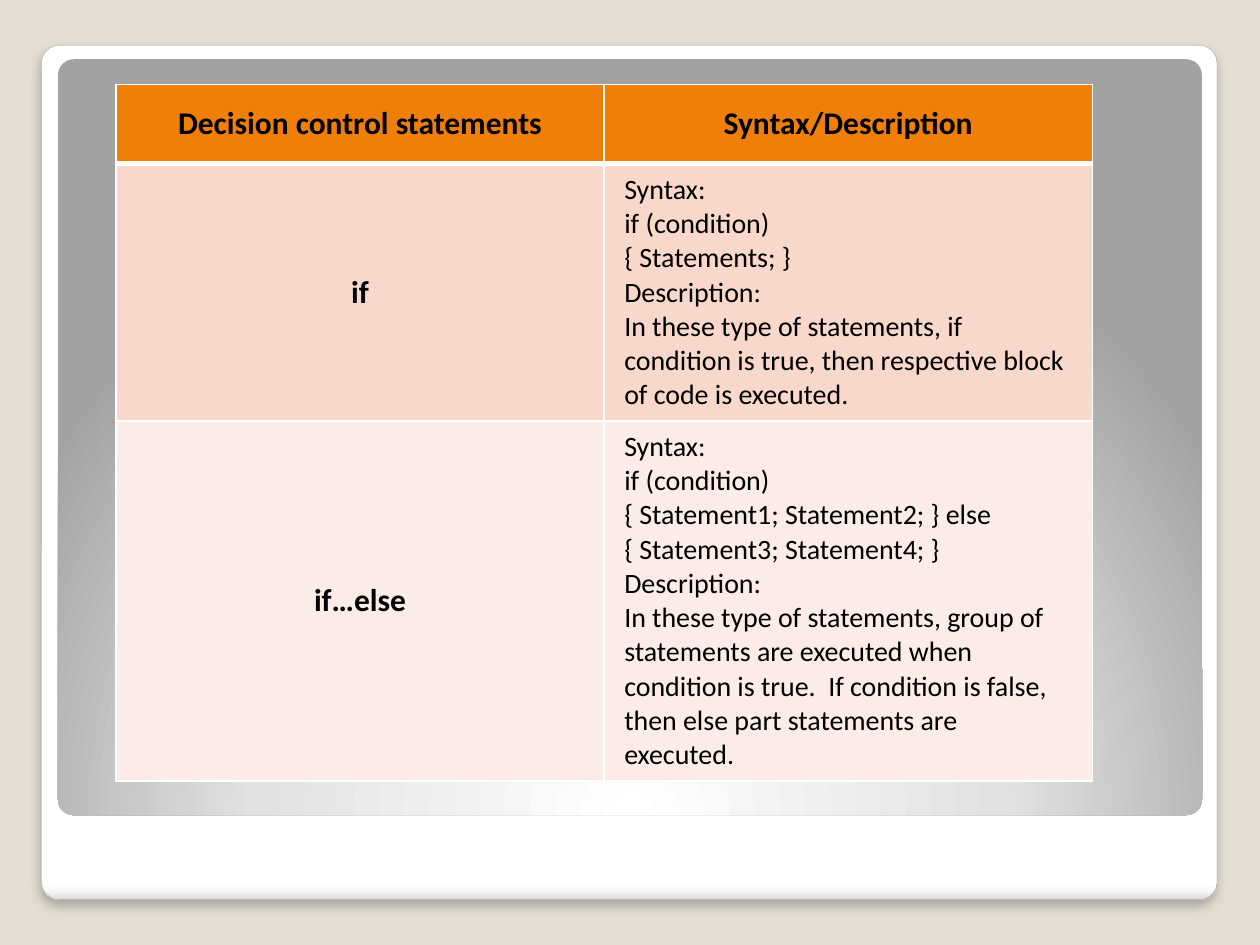
"""Build a slide with a table of decision control statements."""
from lxml import etree
from pptx import Presentation, util as u
from pptx.dml.color import RGBColor
from pptx.enum import shapes, text
from pptx.oxml import parse_xml
from pptx.oxml.ns import nsdecls, qn

HEADERS = ["Decision control statements", "Syntax/Description"]
STATEMENTS = [
    ("if", [
        "Syntax:\nif (condition) \n{ Statements; }",
        "Description:\nIn these type of statements, if condition is true, "
        "then respective block of code is executed.",
    ]),
    ("if…else", [
        "Syntax:\nif (condition) \n{ Statement1; Statement2; } else \n"
        "{ Statement3; Statement4; }",
        "Description:\nIn these type of statements, group of statements are "
        "executed when condition is true.  If condition is false, "
        "then else part statements are executed.",
    ]),
]
COLORS = {
    "background": "E3DED1", "frame_line": "A4A4A4", "shadow": "000000",
    "text": "000000", "border": "FFFFFF",
    "rows": ["F07F09", "F9D8CC", "FCECE7"],
}
FRAME_STOPS = [(0, "FFFFFF"), (98, "FFFFFF"), (99, "F7F7F7"), (100, "DADADA")]
PANEL_STOPS = [(0, "FFFFFF"), (55, "E1E1E1"), (100, "A2A2A2")]
FRAME_DIRECTION = '<a:lin ang="5400000" scaled="0"/>'
PANEL_DIRECTION = ('<a:path path="circle"><a:fillToRect l="50000" t="175000" '
                   'r="50000" b="-75000"/></a:path>')
TABLE_BOX = (0.92, 0.67, 7.75, 5.37)
ROW_HEIGHTS = [0.63, 1.92, 2.82]
MARGINS = {"margin_left": 0.16, "margin_right": 0.16,
           "margin_top": 0.07, "margin_bottom": 0.07}
LABEL_FONT = {"name": "Calibri", "size": u.Pt(18), "bold": True}
DETAIL_FONT = {"name": "Calibri", "size": u.Pt(16), "bold": False}


def inches(box):
    return [u.Inches(value) for value in box]


def add_rounded(slide, box, stops, direction):
    rounded = slide.shapes.add_shape(
        shapes.MSO_SHAPE.ROUNDED_RECTANGLE, *inches(box))
    rounded.adjustments[0] = 0.021
    rounded.shadow.inherit = False
    rounded.line.fill.background()
    stop_xml = "".join(
        f'<a:gs pos="{position * 1000}"><a:srgbClr val="{color}"/></a:gs>'
        for position, color in stops)
    rounded._element.spPr.find(qn("a:prstGeom")).addnext(parse_xml(
        f'<a:gradFill {nsdecls("a")} rotWithShape="1">'
        f'<a:gsLst>{stop_xml}</a:gsLst>{direction}</a:gradFill>'))
    return rounded


def add_shadow(shape):
    effects = shape._element.spPr.find(qn("a:effectLst"))
    effects.append(parse_xml(
        f'<a:outerShdw {nsdecls("a")} blurRad="{u.Pt(6)}" dist="{u.Pt(4)}" '
        f'dir="5400000" algn="t" rotWithShape="0">'
        f'<a:srgbClr val="{COLORS["shadow"]}"><a:alpha val="25000"/>'
        f'</a:srgbClr></a:outerShdw>'))


def add_borders(cell, bottom_width, top_width):
    widths = {"lnL": 1, "lnR": 1, "lnT": top_width, "lnB": bottom_width}
    for index, (side, width) in enumerate(widths.items()):
        cell._tc.get_or_add_tcPr().insert(index, parse_xml(
            f'<a:{side} {nsdecls("a")} w="{u.Pt(width)}"><a:solidFill>'
            f'<a:srgbClr val="{COLORS["border"]}"/></a:solidFill></a:{side}>'))


def write(cell, paragraphs, font, alignment):
    cell.vertical_anchor = text.MSO_ANCHOR.MIDDLE
    for margin, size in MARGINS.items():
        setattr(cell, margin, u.Inches(size))
    frame = cell.text_frame
    for index, wording in enumerate(paragraphs):
        paragraph = frame.add_paragraph() if index else frame.paragraphs[0]
        paragraph.text = wording
        paragraph.alignment = alignment
        for run in paragraph.runs:
            for attribute, value in font.items():
                setattr(run.font, attribute, value)
            run.font.color.rgb = RGBColor.from_string(COLORS["text"])
        for line_break in paragraph._p.findall(qn("a:br")):
            etree.SubElement(line_break, qn("a:rPr"),
                             sz=str(int(font["size"].pt * 100)))


def add_statements(slide):
    rows = [(HEADERS[0], [HEADERS[1]])] + STATEMENTS
    table = slide.shapes.add_table(
        len(rows), len(HEADERS), *inches(TABLE_BOX)).table
    for row_index, (label, details) in enumerate(rows):
        is_header = row_index == 0
        table.rows[row_index].height = u.Inches(ROW_HEIGHTS[row_index])
        label_cell, detail_cell = table.rows[row_index].cells
        center, left = text.PP_ALIGN.CENTER, text.PP_ALIGN.LEFT
        write(label_cell, [label], LABEL_FONT, center)
        write(detail_cell, details, LABEL_FONT if is_header else DETAIL_FONT,
              center if is_header else left)
        for cell in (label_cell, detail_cell):
            cell.fill.solid()
            cell.fill.fore_color.rgb = RGBColor.from_string(
                COLORS["rows"][row_index])
            add_borders(cell, bottom_width=3 if is_header else 1,
                        top_width=3 if row_index == 1 else 1)


def main():
    deck = Presentation()
    deck.slide_width, deck.slide_height = u.Inches(10), u.Inches(7.5)
    slide = deck.slides.add_slide(deck.slide_layouts[6])
    slide.background.fill.solid()
    slide.background.fill.fore_color.rgb = RGBColor.from_string(
        COLORS["background"])
    frame = add_rounded(slide, (0.33, 0.36, 9.33, 6.78),
                        FRAME_STOPS, FRAME_DIRECTION)
    frame.line.color.rgb = RGBColor.from_string(COLORS["frame_line"])
    frame.line.width = u.Pt(0.16)
    add_shadow(frame)
    add_rounded(slide, (0.46, 0.47, 9.08, 6), PANEL_STOPS, PANEL_DIRECTION)
    add_statements(slide)
    deck.save("out.pptx")


if __name__ == "__main__":
    main()
